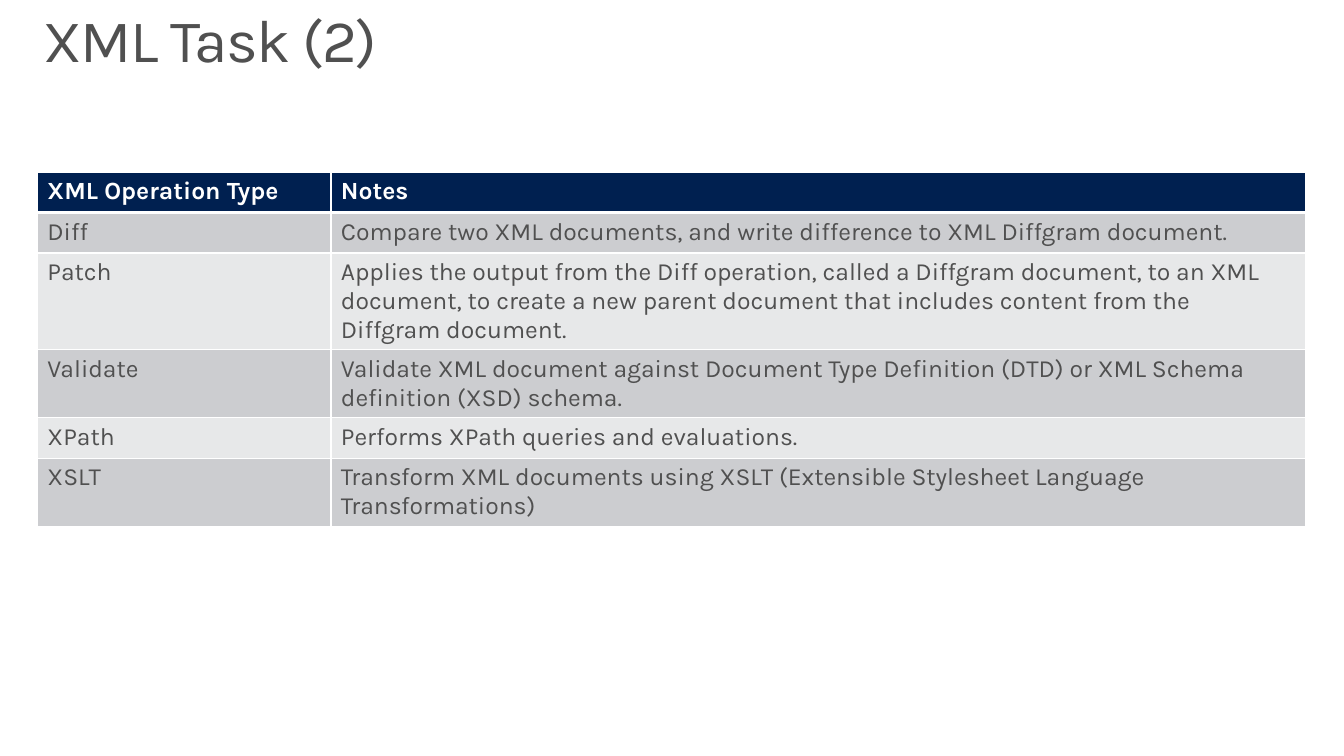
import pptx
import pptx.dml.color
import pptx.enum.text
import pptx.oxml
import pptx.oxml.ns
import pptx.util

SCALE = 9144
NAVY, WHITE, GREY = "002050", "FFFFFF", "505050"
BANDS = ["CCCDD0", "E7E8E9"]
COLS = [297, 986]
ROWS = [
    ("XML Operation Type", "Notes"),
    ("Diff", "Compare two XML documents, and write difference to XML Diffgram document."),
    ("Patch", "Applies the output from the Diff operation, called a Diffgram document, "
              "to an XML document, to create a new parent document that includes content "
              "from the Diffgram document."),
    ("Validate", "Validate XML document against Document Type Definition (DTD) or "
                 "XML Schema definition (XSD) schema."),
    ("XPath", "Performs XPath queries and evaluations."),
    ("XSLT", "Transform XML documents using XSLT (Extensible Stylesheet Language Transformations)"),
]


def px(num):
    return pptx.util.Emu(num * SCALE)


def tint(code):
    return pptx.dml.color.RGBColor.from_string(code)


class Deck:
    """Holds the text style and the current slide."""

    def __init__(self, wide, high, font):
        self.file = pptx.Presentation()
        self.file.slide_width, self.file.slide_height = px(wide), px(high)
        self.font = font
        self.slide = self.file.slides.add_slide(self.file.slide_layouts[5])

    def text(self, para, words, size, color, bold=False):
        run = para.add_run()
        run.text = words
        run.font.name, run.font.size = self.font, pptx.util.Pt(size)
        run.font.bold = bold
        run.font.color.rgb = tint(color)
        return run

    def title(self, words, box):
        head = self.slide.shapes.title
        head.left, head.top, head.width, head.height = map(px, box)
        frame = head.text_frame
        frame.word_wrap = True
        frame.auto_size = pptx.enum.text.MSO_AUTO_SIZE.NONE
        frame.vertical_anchor = pptx.enum.text.MSO_ANCHOR.TOP
        frame.margin_left = frame.margin_right = px(16)
        frame.margin_top = frame.margin_bottom = px(10)
        para = frame.paragraphs[0]
        para.alignment = pptx.enum.text.PP_ALIGN.LEFT
        para.line_spacing = 0.9
        run = self.text(para, words, 44, GREY)
        run.font._element.set("spc", "-100")

    def edge(self, cell, side, width):
        props = cell._tc.get_or_add_tcPr()
        line = pptx.oxml.parse_xml(
            f'<a:{side} {pptx.oxml.ns.nsdecls("a")} w="{pptx.util.Pt(width)}">'
            f'<a:solidFill><a:srgbClr val="{WHITE}"/></a:solidFill></a:{side}>')
        props.append(line)

    def cell(self, cell, words, row):
        head = row == 0
        sides = {"lnL": 1, "lnR": 1, "lnT": 3 if row == 1 else 1, "lnB": 3 if head else 1}
        for side, width in sides.items():
            self.edge(cell, side, width)
        cell.fill.solid()
        cell.fill.fore_color.rgb = tint(NAVY if head else BANDS[(row - 1) % 2])
        self.text(cell.text_frame.paragraphs[0], words, 18, WHITE if head else GREY, head)

    def table(self, rows, cols, left, top, high):
        box = map(px, (left, top, sum(cols), high * len(rows)))
        grid = self.slide.shapes.add_table(len(rows), len(cols), *box).table
        for col, wide in zip(grid.columns, cols):
            col.width = px(wide)
        for row, texts in enumerate(rows):
            for col, words in enumerate(texts):
                self.cell(grid.cell(row, col), words, row)


def main():
    deck = Deck(1360, 765, "Karla")
    deck.title("XML Task (2)", (28, 0, 1300, 100))
    deck.table(ROWS, COLS, 38, 174, 41)
    deck.file.save("out.pptx")


if __name__ == "__main__":
    main()
